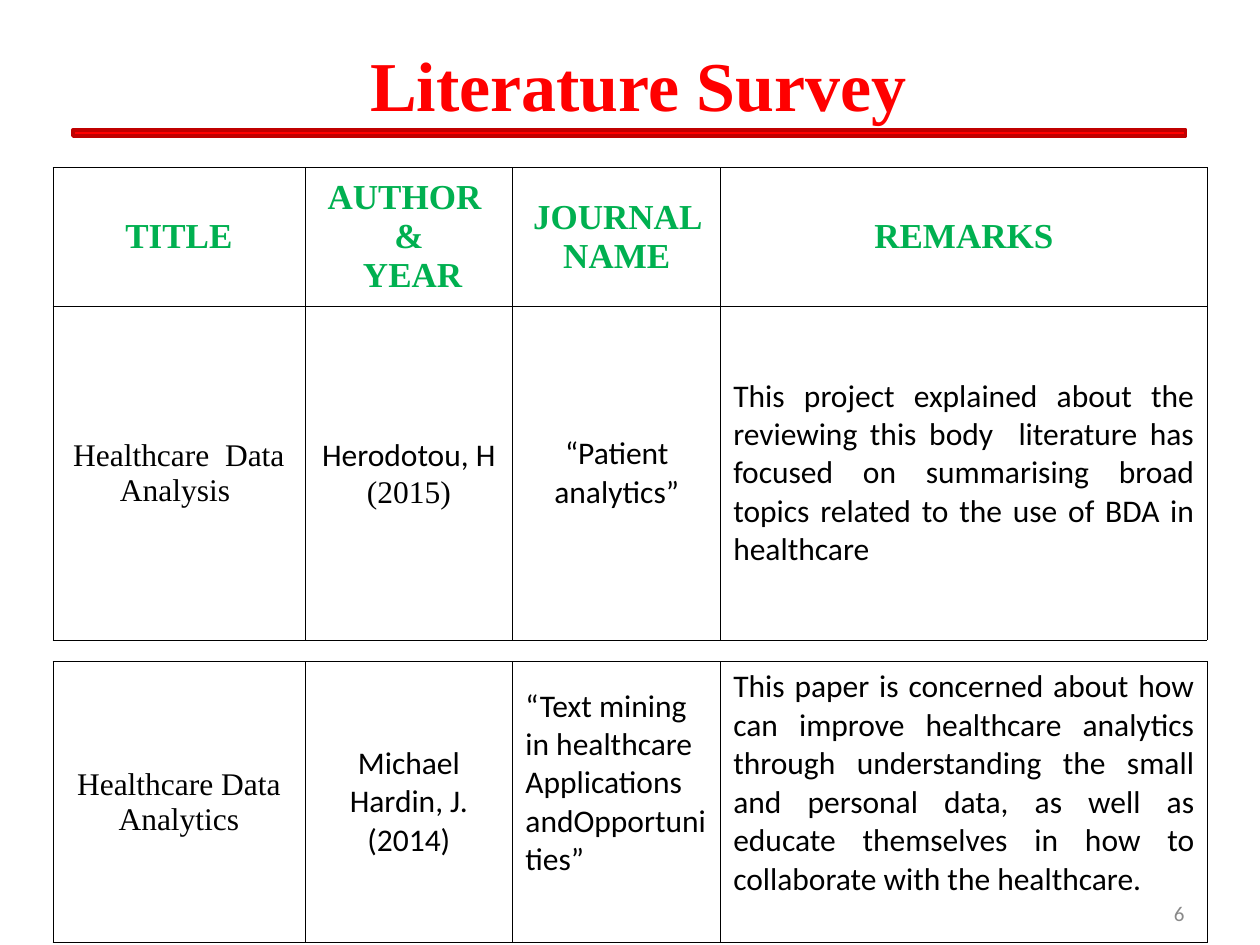
from lxml.etree import SubElement
from pptx import Presentation
from pptx.dml.color import RGBColor
from pptx.enum.shapes import MSO_SHAPE as Shape
from pptx.enum.text import MSO_ANCHOR as Anchor, PP_ALIGN as Align
from pptx.oxml.ns import qn
from pptx.util import Inches, Pt

SERIF, SANS = "Times New Roman", "Calibri"
LEFT, COLS = 0.42, (2, 1.65, 1.65, 3.86)

HEADINGS = [["TITLE"], ["AUTHOR ", "&", " YEAR"], ["JOURNAL NAME"], ["REMARKS"]]
FIRST_STUDY = [
    ["Healthcare  Data Analysis "],
    ["Herodotou, H", "(2015)"],
    ["“Patient analytics”"],
    ["This project explained about the reviewing this body  literature has focused "
     "on summarising broad topics related to the use of BDA in healthcare"],
]
SECOND_STUDY = [
    ["Healthcare Data Analytics"],
    ["Michael Hardin, J. (2014)"],
    ["“Text mining in healthcare Applications andOpportunities”"],
    ["This paper is concerned about how can improve healthcare analytics through "
     "understanding the small and personal data, as well as educate themselves in "
     "how to collaborate with the healthcare."],
]


def rgb(color):
    return RGBColor.from_string(color)


def style(p, size, font, color, align, bold=False):
    p.alignment = align
    p.font.size, p.font.name, p.font.bold = Pt(size), font, bold
    p.font.color.rgb = rgb(color)


def add_border(cell, color="000000", width=0.45):
    tc_pr = cell._tc.get_or_add_tcPr()
    for i, side in enumerate(("a:lnL", "a:lnR", "a:lnT", "a:lnB")):
        ln = tc_pr.makeelement(qn(side), {"w": str(Pt(width))})
        fill = SubElement(ln, qn("a:solidFill"))
        SubElement(fill, qn("a:srgbClr"), val=color)
        tc_pr.insert(i, ln)


def add_grid(s, top, heights):
    frame = s.shapes.add_table(len(heights), len(COLS), Inches(LEFT), Inches(top),
                               Inches(sum(COLS)), Inches(sum(heights)))
    table = frame.table
    table.first_row = table.horz_banding = False
    for column, width in zip(table.columns, COLS):
        column.width = Inches(width)
    for row, height in zip(table.rows, heights):
        row.height = Inches(height)
    for cell in table.iter_cells():
        cell.fill.background()
        cell.vertical_anchor = Anchor.MIDDLE
        add_border(cell)
    return table


def fill_row(table, row, texts, size, fonts, color, aligns, bold=False):
    for col, lines in enumerate(texts):
        tf = table.cell(row, col).text_frame
        tf.text = "\n".join(lines)
        for p in tf.paragraphs:
            font = SERIF if p.text == "(2015)" else fonts[col]
            style(p, size, font, color, aligns[col], bold)


def add_title(s, text):
    title = s.shapes.title
    title.left, title.top, title.width, title.height = map(Inches, (0.5, 0, 9, 1.33))
    tf = title.text_frame
    tf.text, tf.vertical_anchor = text, Anchor.MIDDLE
    style(tf.paragraphs[0], 40, SERIF, "FF0000", Align.CENTER, True)


def add_rule(s):
    sp = s.shapes.add_shape(Shape.RECTANGLE, *map(Inches, (0.58, 1.03, 8.83, 0.05)))
    sp.shadow.inherit = False
    sp.fill.solid()
    sp.fill.fore_color.rgb = rgb("FF0000")
    sp.line.color.rgb, sp.line.width = rgb("C00000"), Pt(2)


def add_page_number(s, number):
    tf = s.shapes.add_textbox(*map(Inches, (7.17, 6.95, 2.33, 0.4))).text_frame
    tf.word_wrap, tf.vertical_anchor = True, Anchor.BOTTOM
    tf.margin_bottom = 0
    tf.text = number
    style(tf.paragraphs[0], 12, SANS, "898989", Align.RIGHT)


def main():
    prs = Presentation()
    prs.slide_width, prs.slide_height = Inches(10), Inches(7.5)
    s = prs.slides.add_slide(prs.slide_layouts[5])
    add_rule(s)
    add_title(s, " Literature Survey")

    centred = [Align.CENTER] * 4
    body_fonts = [SERIF, SANS, SANS, SANS]
    upper = add_grid(s, 1.33, (1.1, 2.65))
    fill_row(upper, 0, HEADINGS, 20, [SERIF] * 4, "00B050", centred, True)
    fill_row(upper, 1, FIRST_STUDY, 18, body_fonts, "000000",
             centred[:3] + [Align.JUSTIFY])

    lower = add_grid(s, 5.25, (2.2,))
    fill_row(lower, 0, SECOND_STUDY, 18, body_fonts, "000000",
             centred[:2] + [Align.LEFT, Align.JUSTIFY])
    for col in (2, 3):
        lower.cell(0, col).margin_bottom = Inches(0.35)

    add_page_number(s, "6")
    prs.save("out.pptx")


if __name__ == "__main__":
    main()
